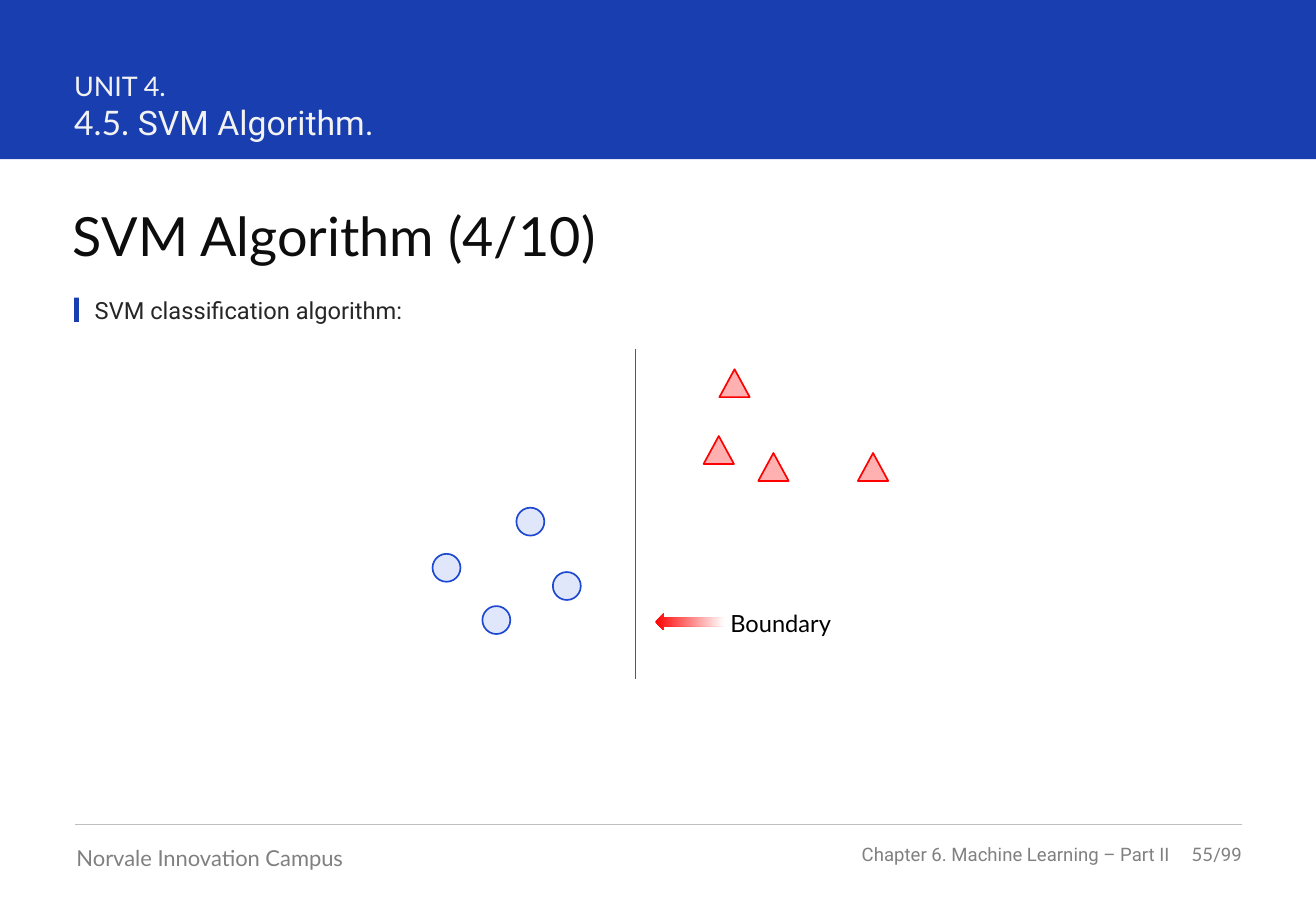
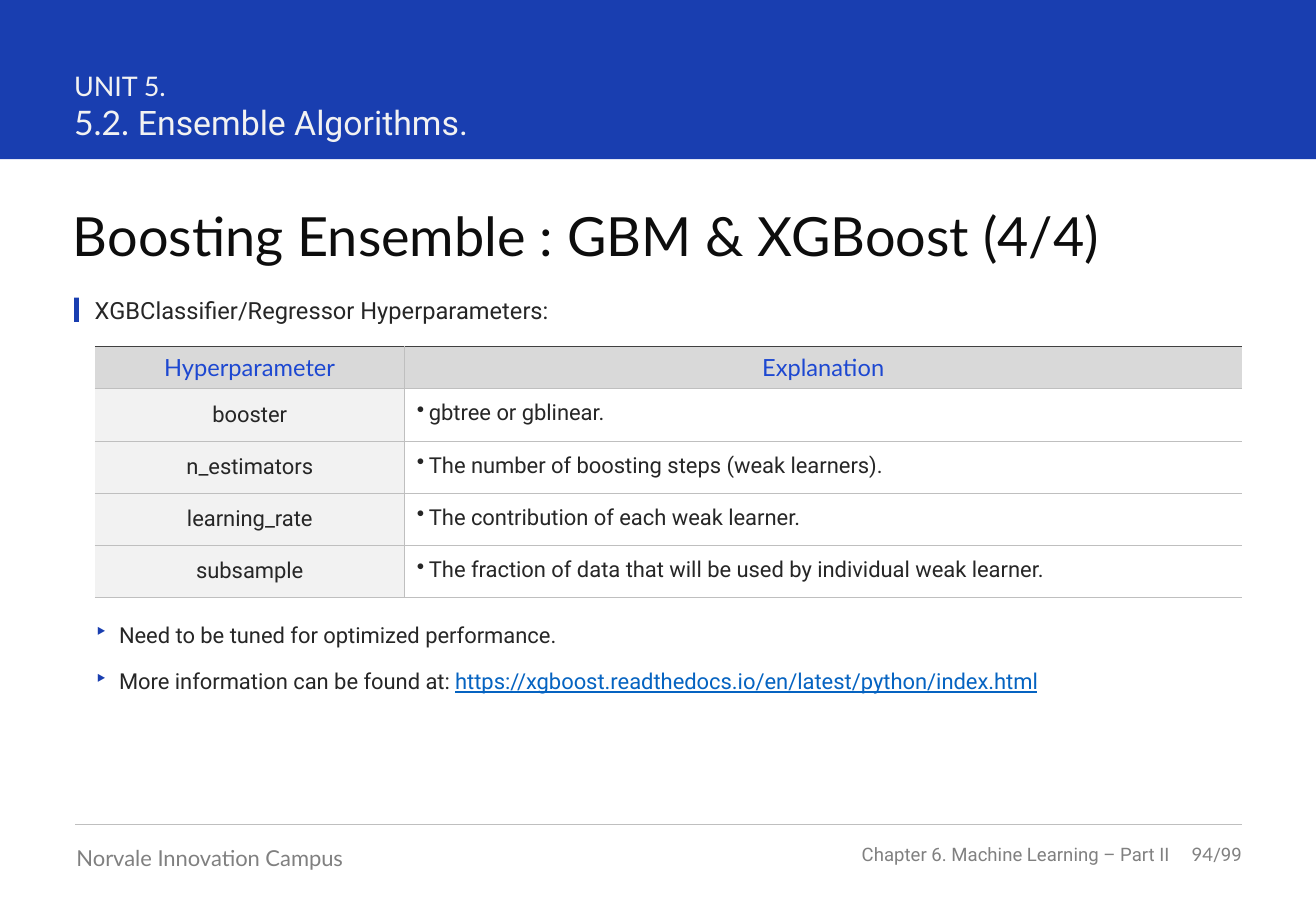
from lxml.etree import SubElement
from pptx import Presentation
from pptx.dml.color import RGBColor
from pptx.enum.shapes import MSO_CONNECTOR, MSO_SHAPE
from pptx.enum.text import MSO_ANCHOR, PP_ALIGN
from pptx.oxml.ns import qn
from pptx.util import Inches, Pt

BLUE, INK, GREY, RULE = "193EB0", "262626", "808080", "BFBFBF"
ACCENT, RED, DARK, PALE = "1D48D1", "FF0000", "404040", "F2F2F2"
HEAD, BODY = "Lato", "Roboto"
LEFT, RIGHT, WIDTH = 0.62, 10.22, 10.83


def rgb(code):
    return RGBColor.from_string(code)


def style(font, name=None, size=None, color=None):
    if name:
        font.name = name
    if size:
        font.size = Pt(size)
    if color:
        font.color.rgb = rgb(color)


def write(para, runs, name, size, color, align=PP_ALIGN.LEFT):
    """Fill a paragraph; a run is a string or (string, font name, colour)."""
    para.alignment = align
    style(para.font, name, size, color)
    for item in runs:
        words, face, tint = (item, None, None) if isinstance(item, str) else item
        run = para.add_run()
        run.text = words
        style(run.font, face, color=tint)
    return para


def add_box(slide, box, inset=(0, 0, 0, 0), anchor=MSO_ANCHOR.TOP, wrap=True):
    frame = slide.shapes.add_textbox(*map(Inches, box)).text_frame
    frame.word_wrap = wrap
    frame.vertical_anchor = anchor
    (frame.margin_left, frame.margin_top,
     frame.margin_right, frame.margin_bottom) = map(Inches, inset)
    return frame


def add_text(slide, box, runs, name, size, color, align=PP_ALIGN.LEFT, **frame):
    write(add_box(slide, box, **frame).paragraphs[0], runs, name, size, color, align)


def add_form(slide, kind, box, fill=None, line=None, alpha=100):
    form = slide.shapes.add_shape(kind, *map(Inches, box))
    form.shadow.inherit = False
    if fill:
        form.fill.solid()
        form.fill.fore_color.rgb = rgb(fill)
    if alpha < 100:
        tint = form._element.spPr.find(qn("a:solidFill"))[0]
        SubElement(tint, qn("a:alpha"), val=str(alpha * 1000))
    if line:
        form.line.color.rgb = rgb(line)
        form.line.width = Pt(1)
    else:
        form.line.fill.background()
    return form


def add_rule(slide, start, end, color):
    rule = slide.shapes.add_connector(
        MSO_CONNECTOR.STRAIGHT, *map(Inches, start + end))
    rule.line.color.rgb = rgb(color)
    rule.line.width = Pt(0.5)
    SubElement(rule._element.spPr, qn("a:effectLst"))


def add_bullet(para, mark, indent, spacing, after, color=None):
    props = para._p.get_or_add_pPr()
    props.set("marL", str(Inches(indent)))
    props.set("indent", str(-Inches(indent)))
    if color:
        SubElement(SubElement(props, qn("a:buClr")), qn("a:srgbClr"), val=color)
    SubElement(props, qn("a:buChar"), char=mark)
    para.line_spacing = spacing
    para.space_after = Pt(after)


def set_edges(cell, **edges):
    """Draw the named sides (L, R, T, B) and clear the others."""
    props = cell._tc.get_or_add_tcPr()
    for side in "LRTB":
        edge = SubElement(props, qn("a:ln" + side), w=str(Pt(0.5)))
        if side in edges:
            fill = SubElement(edge, qn("a:solidFill"))
            SubElement(fill, qn("a:srgbClr"), val=edges[side])
        else:
            SubElement(edge, qn("a:noFill"))


def add_header(slide, unit, number, topic):
    add_form(slide, MSO_SHAPE.RECTANGLE, (0, 0, WIDTH, 1.31), BLUE)
    frame = add_box(slide, (0.61, 0.57, 6.37, 0.61))
    write(frame.paragraphs[0], [unit], HEAD, 16, PALE)
    write(frame.add_paragraph(), [number + " ", (topic, BODY, None)],
          HEAD, 20, PALE)


def add_footer(slide, page):
    add_rule(slide, (LEFT, 6.79), (RIGHT, 6.79), RULE)
    add_text(slide, (0.63, 6.95, 3.16, 0.22), ["Norvale Innovation Campus"],
             HEAD, 13, GREY)
    mid = MSO_ANCHOR.MIDDLE
    add_text(slide, (7.09, 6.94, 2.54, 0.19),
             ["Chapter 6. Machine Learning – Part II"],
             BODY, 11, GREY, PP_ALIGN.RIGHT, anchor=mid, wrap=False)
    add_text(slide, (9.63, 6.94, 0.59, 0.19), [str(page), ("/99", BODY, None)],
             HEAD, 11, GREY, PP_ALIGN.RIGHT, anchor=mid)


def add_page(deck, header, title, lead, page):
    slide = deck.slides.add_slide(deck.slide_layouts[6])
    add_header(slide, *header)
    add_footer(slide, page)
    add_text(slide, (0.6, 1.67, 9.62, 0.54), [title], HEAD, 32, "0D0D0D")
    add_form(slide, MSO_SHAPE.RECTANGLE, (0.61, 2.45, 0.04, 0.2), BLUE)
    add_text(slide, (0.78, 2.44, 9.44, 0.24), [lead], BODY, 14, INK)
    return slide


def add_plot(slide, left, top):
    """Two classes of points on either side of a boundary."""
    add_rule(slide, (left + 1.67, top), (left + 1.67, top + 2.72), "595959")
    dots = (0.69, 1.31), (0, 1.69), (0.41, 2.12), (0.99, 1.84)
    peaks = (2.36, 0.17), (2.23, 0.72), (2.68, 0.86), (3.5, 0.86)
    groups = (
        (MSO_SHAPE.OVAL, 0.23, dots, "C5D1F7", ACCENT, 50),
        (MSO_SHAPE.ISOSCELES_TRIANGLE, 0.25, peaks, RED, RED, 31),
    )
    for kind, width, points, fill, line, alpha in groups:
        for x, y in points:
            add_form(slide, kind, (left + x, top + y, width, 0.23),
                     fill, line, alpha)
    arrow = add_form(slide, MSO_SHAPE.LEFT_ARROW,
                     (left + 1.83, top + 2.18, 0.57, 0.14))
    arrow.fill.gradient()
    arrow.fill.gradient_angle = 0
    for stop, color in zip(arrow.fill.gradient_stops, (RED, "FFFFFF")):
        stop.color.rgb = rgb(color)
    add_text(slide, (left + 2.13, top + 2.09, 1.47, 0.34), ["Boundary"],
             HEAD, 14, "000000", PP_ALIGN.CENTER, inset=(0.1, 0.05, 0.1, 0.05))


def add_grid(slide, left, top, widths, heads, rows):
    heights = [0.35] + [0.43] * len(rows)
    grid = slide.shapes.add_table(
        len(heights), len(widths),
        *map(Inches, (left, top, sum(widths), sum(heights)))).table
    for column, width in zip(grid.columns, widths):
        column.width = Inches(width)
    for r, (height, row) in enumerate(zip(heights, [heads] + rows)):
        grid.rows[r].height = Inches(height)
        for c, words in enumerate(row):
            cell = grid.cell(r, c)
            cell.vertical_anchor = MSO_ANCHOR.MIDDLE
            inner = {"L" if c else "R": RULE}
            set_edges(cell, T=RULE if r else DARK, B=RULE, **inner)
            para = cell.text_frame.paragraphs[0]
            if r and c:
                cell.fill.background()
                add_bullet(para, "•", 0.1, 0.8, 2)
                write(para, [words], BODY, 13, INK)
                continue
            cell.fill.solid()
            cell.fill.fore_color.rgb = rgb(PALE if r else "D9D9D9")
            font = (BODY, 13, INK) if r else (HEAD, 14, ACCENT)
            write(para, [words], *font, PP_ALIGN.CENTER)


def add_notes(slide, box, notes):
    frame = add_box(slide, box, inset=(0, 0.08, 0.16, 0.08))
    for i, runs in enumerate(notes):
        para = frame.add_paragraph() if i else frame.paragraphs[0]
        add_bullet(para, "‣", 0.2, 1.5, 4, BLUE)
        write(para, runs, BODY, 13, INK)
    return frame


def main():
    deck = Presentation()
    deck.slide_width, deck.slide_height = Inches(WIDTH), Inches(7.5)

    svm = add_page(deck, ("UNIT 4.", "4.5.", "SVM Algorithm."),
                   "SVM Algorithm (4/10)", "SVM classification algorithm:", 55)
    add_plot(svm, 3.56, 2.87)

    boost = add_page(deck, ("UNIT 5.", "5.2.", "Ensemble Algorithms."),
                     "Boosting Ensemble : GBM & XGBoost (4/4)",
                     "XGBClassifier/Regressor Hyperparameters:", 94)
    add_grid(boost, 0.78, 2.85, (2.55, 6.89), ("Hyperparameter", "Explanation"), [
        ("booster", "gbtree or gblinear."),
        ("n_estimators", "The number of boosting steps (weak learners)."),
        ("learning_rate", "The contribution of each weak learner."),
        ("subsample",
         "The fraction of data that will be used by individual weak learner."),
    ])
    url = "https://xgboost.readthedocs.io/en/latest/python/index.html"
    notes = add_notes(boost, (0.78, 4.93, 9.44, 1.17), [
        ["Need to be tuned for optimized performance."],
        ["More information can be found at: ", (url, None, "0563C1")],
    ])
    notes.paragraphs[1].runs[1].font.underline = True

    deck.save("out.pptx")


if __name__ == "__main__":
    main()
